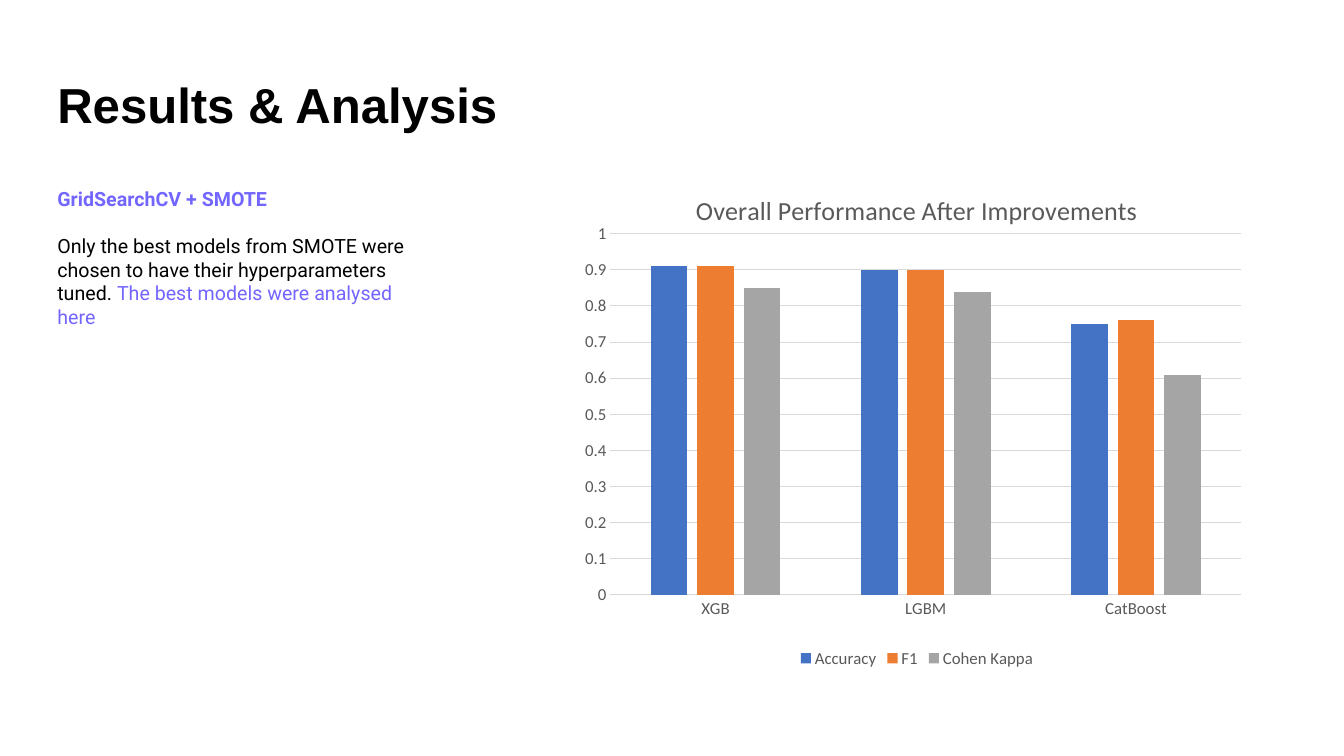
from dataclasses import dataclass

from lxml import etree
from pptx import Presentation
from pptx import util as u
from pptx.chart.data import CategoryChartData
from pptx.dml.color import RGBColor
from pptx.enum import chart as ch
from pptx.enum import text as t
from pptx.oxml.ns import qn

PX = 9144  # EMU per px, at 100 px to the inch

BLACK = RGBColor(0x00, 0x00, 0x00)
VIOLET = RGBColor(0x73, 0x66, 0xFF)
GREY_TEXT = RGBColor(0x59, 0x59, 0x59)
GREY_LINE = RGBColor(0xD9, 0xD9, 0xD9)
BLUE = RGBColor(0x44, 0x72, 0xC4)
ORANGE = RGBColor(0xED, 0x7D, 0x31)
GREY_BAR = RGBColor(0xA5, 0xA5, 0xA5)


@dataclass(frozen=True)
class Box:
    left: int
    top: int
    width: int
    height: int

    def emu(self) -> tuple[int, ...]:
        return tuple(px * PX for px in (self.left, self.top, self.width, self.height))


@dataclass(frozen=True)
class Span:
    text: str
    color: RGBColor = BLACK
    bold: bool = False


@dataclass(frozen=True)
class Metric:
    name: str
    scores: tuple[float, ...]
    color: RGBColor


MODELS = ("XGB", "LGBM", "CatBoost")
METRICS = (
    Metric("Accuracy", (0.91, 0.9, 0.75), BLUE),
    Metric("F1", (0.91, 0.9, 0.76), ORANGE),
    Metric("Cohen Kappa", (0.85, 0.84, 0.61), GREY_BAR),
)
FINDINGS = (
    (Span("GridSearchCV + SMOTE", VIOLET, True),),
    (
        Span("Only the best models from SMOTE were chosen to have their hyperparameters tuned. "),
        Span("The best models were analysed here", VIOLET),
    ),
)
PLOT_LAYOUT = {"x": 0.065, "y": 0.123, "w": 0.895, "h": 0.722}


def style_font(font, size: float, color: RGBColor, name: str, bold: bool = False) -> None:
    font.size, font.name, font.bold = u.Pt(size), name, bold
    font.color.rgb = color


def add_text(slide, box: Box, paragraphs, *, size: float, font: str, gap: float = 0,
             line_spacing: float = 1.0, anchor=t.MSO_ANCHOR.TOP) -> None:
    """Add a text box; gap is the space in points between paragraphs."""
    frame = slide.shapes.add_textbox(*box.emu()).text_frame
    frame.word_wrap = True
    frame.vertical_anchor = anchor
    for index, spans in enumerate(paragraphs):
        paragraph = frame.add_paragraph() if index else frame.paragraphs[0]
        paragraph.line_spacing = line_spacing
        paragraph.space_before = u.Pt(gap if index else 0)
        for span in spans:
            run = paragraph.add_run()
            run.text = span.text
            style_font(run.font, size, span.color, font, span.bold)


def fix_plot_area(chart) -> None:
    """Give the inner plot area a fixed place, as fractions of the chart."""
    plot_area = chart.plots[0]._element.getparent()
    for old in plot_area.findall(qn("c:layout")):
        plot_area.remove(old)
    layout = etree.Element(qn("c:layout"))
    manual = etree.SubElement(layout, qn("c:manualLayout"))
    settings = {"layoutTarget": "inner", "xMode": "edge", "yMode": "edge", **PLOT_LAYOUT}
    for tag, value in settings.items():
        etree.SubElement(manual, qn(f"c:{tag}")).set("val", str(value))
    plot_area.insert(0, layout)


def style_axes(chart) -> None:
    for axis in (chart.category_axis, chart.value_axis):
        axis.major_tick_mark = axis.minor_tick_mark = ch.XL_TICK_MARK.NONE
        style_font(axis.tick_labels.font, 12, GREY_TEXT, "Calibri")
    scores = chart.value_axis
    scores.minimum_scale, scores.maximum_scale, scores.major_unit = 0, 1, 0.1
    scores.tick_labels.number_format = "General"
    scores.tick_labels.number_format_is_linked = False
    scores.format.line.fill.background()
    scores.has_major_gridlines = True
    for line in (chart.category_axis.format.line, scores.major_gridlines.format.line):
        line.color.rgb = GREY_LINE
        line.width = u.Pt(0.75)


def add_performance_chart(slide, box: Box) -> None:
    data = CategoryChartData()
    data.categories = MODELS
    for metric in METRICS:
        data.add_series(metric.name, metric.scores)
    chart = slide.shapes.add_chart(
        ch.XL_CHART_TYPE.COLUMN_CLUSTERED, *box.emu(), data).chart
    style_font(chart.font, 10, BLACK, "Calibri")

    heading = chart.chart_title.text_frame
    heading.text = "Overall Performance After Improvements"
    style_font(heading.paragraphs[0].runs[0].font, 18.6, GREY_TEXT, "Calibri")
    chart.chart_title.include_in_layout = False

    chart.has_legend = True
    chart.legend.position = ch.XL_LEGEND_POSITION.BOTTOM
    chart.legend.include_in_layout = False
    style_font(chart.legend.font, 12, GREY_TEXT, "Calibri")

    columns = chart.plots[0]
    columns.gap_width, columns.overlap = 219, -27
    columns.vary_by_categories = False
    for series, metric in zip(columns.series, METRICS):
        series.invert_if_negative = False
        series.format.fill.solid()
        series.format.fill.fore_color.rgb = metric.color
    style_axes(chart)
    fix_plot_area(chart)


def main() -> None:
    deck = Presentation()
    deck.slide_width, deck.slide_height = 1333 * PX, 750 * PX
    slide = deck.slides.add_slide(deck.slide_layouts[6])
    add_text(slide, Box(47, 65, 931, 73), [[Span("Results & Analysis", bold=True)]],
             size=35.1, font="Arial", line_spacing=0.9, anchor=t.MSO_ANCHOR.BOTTOM)
    add_text(slide, Box(47, 181, 382, 175), FINDINGS, size=14, font="Roboto", gap=16.5)
    add_performance_chart(slide, Box(560, 171, 699, 496))
    deck.save("out.pptx")


if __name__ == "__main__":
    main()
